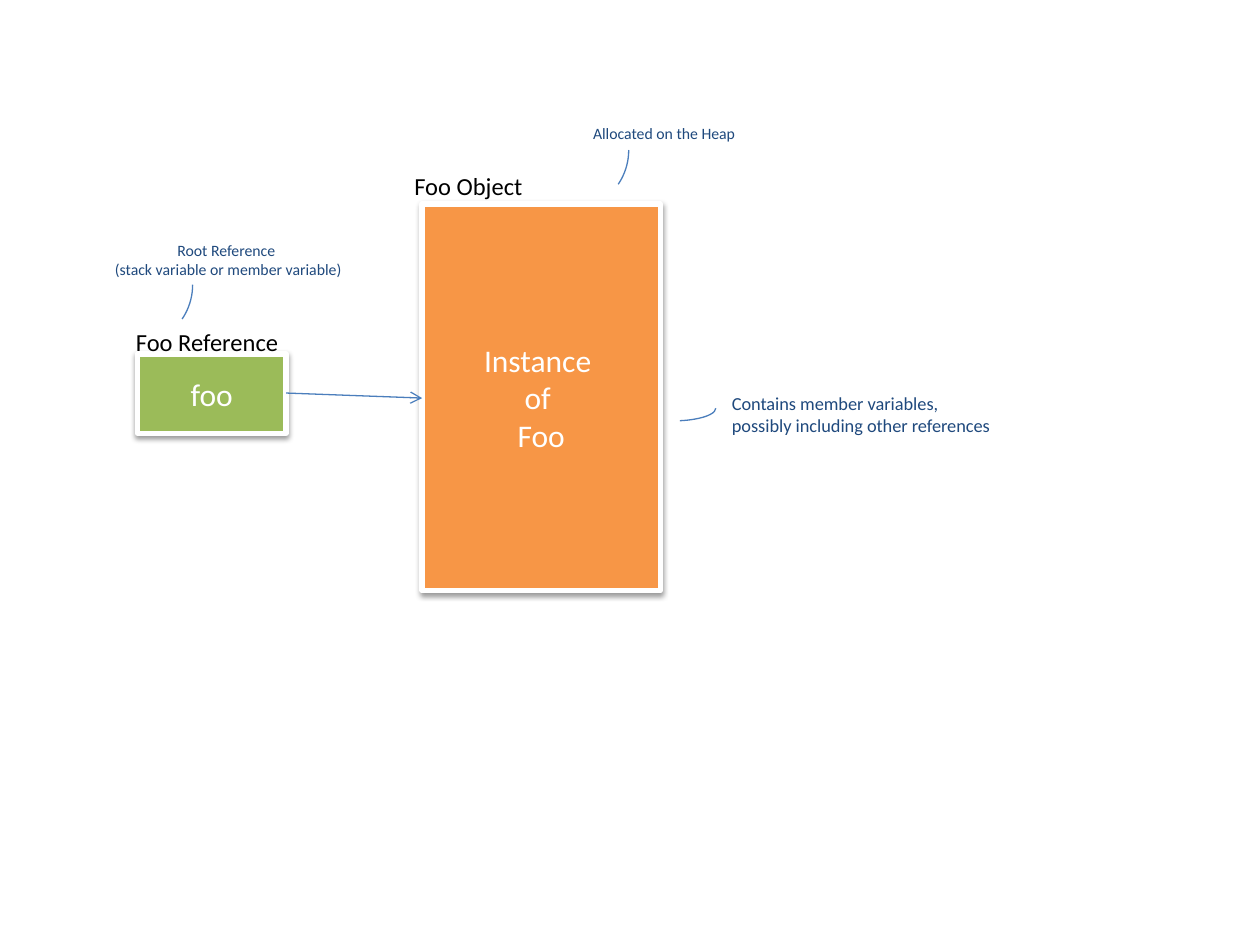
"""Build a slide showing a reference to an object on the heap."""
from dataclasses import dataclass

from lxml.etree import SubElement
from pptx import Presentation
from pptx.dml.color import RGBColor
from pptx.enum.shapes import MSO_CONNECTOR, MSO_SHAPE
from pptx.enum.text import MSO_ANCHOR, MSO_AUTO_SIZE, PP_ALIGN
from pptx.oxml import parse_xml
from pptx.oxml.ns import nsdecls, qn
from pptx.util import Pt

WHITE, BLACK, NAVY, BLUE = "FFFFFF", "000000", "1F497D", "4B7EBC"
GREEN, ORANGE = "9BBB59", "F79646"
LEFT, CENTER = PP_ALIGN.LEFT, PP_ALIGN.CENTER

SHADOW = (
    f'<a:effectLst {nsdecls("a")}><a:outerShdw blurRad="{Pt(3.1)}" dist="{Pt(1.6)}" '
    'dir="5400000" rotWithShape="0"><a:srgbClr val="000000">'
    '<a:alpha val="38000"/></a:srgbClr></a:outerShdw></a:effectLst>'
)


@dataclass
class Frame:
    """Position and size in points."""
    left: float
    top: float
    width: float
    height: float

    def lengths(self):
        """Return the four lengths for a shape call."""
        return Pt(self.left), Pt(self.top), Pt(self.width), Pt(self.height)


@dataclass
class Box:
    """A filled memory cell."""
    frame: Frame
    fill: str
    lines: list[str]


@dataclass
class Label:
    """A caption or an annotation."""
    frame: Frame
    lines: list[str]
    size: float = 14
    color: str = BLACK
    align: PP_ALIGN = LEFT


@dataclass
class Arc:
    """A curved pointer; start is the arc adjustment."""
    frame: Frame
    start: float


BOXES = [
    Box(Frame(78.5, 202.3, 85, 45.4), GREEN, ["foo"]),
    Box(Frame(241.2, 116.6, 136.1, 221), ORANGE, ["Instance ", "of ", "Foo"]),
]
LABELS = [
    Label(Frame(70.6, 183.6, 96.5, 24.5), ["Foo Reference"]),
    Label(Frame(229.7, 94.3, 77, 24.5), ["Foo Object"]),
    Label(Frame(331.2, 67, 96.5, 18), ["Allocated on the Heap"], 9, NAVY, CENTER),
    Label(Frame(57.6, 133.9, 145.4, 28.8),
          ["Root Reference ", "(stack variable or member variable)"], 9, NAVY, CENTER),
    Label(Frame(411.1, 220.3, 164.9, 32.4),
          ["Contains member variables, ", "possibly including other references"], 10.5, NAVY),
]
ARCS = [
    Arc(Frame(297.4, 52.6, 61.9, 66.2), 193.13),
    Arc(Frame(48.2, 129.6, 61.9, 66.2), 193.13),
    Arc(Frame(360, 226.1, 49, 14.4), 179.75),
]


def rgb(color: str) -> RGBColor:
    """Turn a hex string into a colour."""
    return RGBColor.from_string(color)


def apply(target, values: dict) -> None:
    """Set every attribute named in values."""
    for name, value in values.items():
        setattr(target, name, value)


def style_line(line, color: str, width: float) -> None:
    """Give a line its colour and width."""
    line.color.rgb = rgb(color)
    line.width = Pt(width)


def write(text_frame, lines: list[str], size: float, color: str, align: PP_ALIGN) -> None:
    """Write one paragraph for each line."""
    for index, text in enumerate(lines):
        paragraph = text_frame.add_paragraph() if index else text_frame.paragraphs[0]
        paragraph.alignment = align
        run = paragraph.add_run()
        run.text = text
        apply(run.font, {"name": "Calibri", "size": Pt(size)})
        run.font.color.rgb = rgb(color)


def draw_box(slide, box: Box) -> None:
    """Draw a filled box with a white border and soft shadow."""
    shape = slide.shapes.add_shape(MSO_SHAPE.RECTANGLE, *box.frame.lengths())
    shape.fill.solid()
    shape.fill.fore_color.rgb = rgb(box.fill)
    style_line(shape.line, WHITE, 3)
    shape.element.spPr.append(parse_xml(SHADOW))
    shape.text_frame.vertical_anchor = MSO_ANCHOR.MIDDLE
    write(shape.text_frame, box.lines, 18, WHITE, CENTER)


def draw_label(slide, label: Label) -> None:
    """Draw an unwrapped text label."""
    shape = slide.shapes.add_textbox(*label.frame.lengths())
    apply(shape.text_frame, {"word_wrap": False, "auto_size": MSO_AUTO_SIZE.SHAPE_TO_FIT_TEXT})
    write(shape.text_frame, label.lines, label.size, label.color, label.align)


def draw_arc(slide, arc: Arc) -> None:
    """Draw an arc turned and mirrored to curve downward."""
    shape = slide.shapes.add_shape(MSO_SHAPE.ARC, *arc.frame.lengths())
    shape.adjustments[0] = arc.start
    shape.adjustments[1] = 0
    shape.rotation = 180
    shape.element.spPr.find(qn("a:xfrm")).set("flipH", "1")
    shape.fill.background()
    style_line(shape.line, BLUE, 0.75)
    shape.shadow.inherit = False


def draw_arrow(slide, start: tuple[float, float], end: tuple[float, float]) -> None:
    """Draw a straight arrow from start to end."""
    points = [Pt(value) for value in (*start, *end)]
    connector = slide.shapes.add_connector(MSO_CONNECTOR.STRAIGHT, *points)
    style_line(connector.line, BLUE, 0.75)
    properties = connector.element.spPr
    SubElement(properties.find(qn("a:ln")), qn("a:tailEnd"), type="arrow")
    SubElement(properties, qn("a:effectLst"))


def main() -> None:
    """Build and save the presentation."""
    presentation = Presentation()
    apply(presentation, {"slide_width": Pt(720), "slide_height": Pt(540)})
    slide = presentation.slides.add_slide(presentation.slide_layouts[6])
    for box in BOXES:
        draw_box(slide, box)
    draw_arrow(slide, (163.5, 224.6), (241.2, 227.5))
    for label in LABELS:
        draw_label(slide, label)
    for arc in ARCS:
        draw_arc(slide, arc)
    presentation.save("out.pptx")


main()
